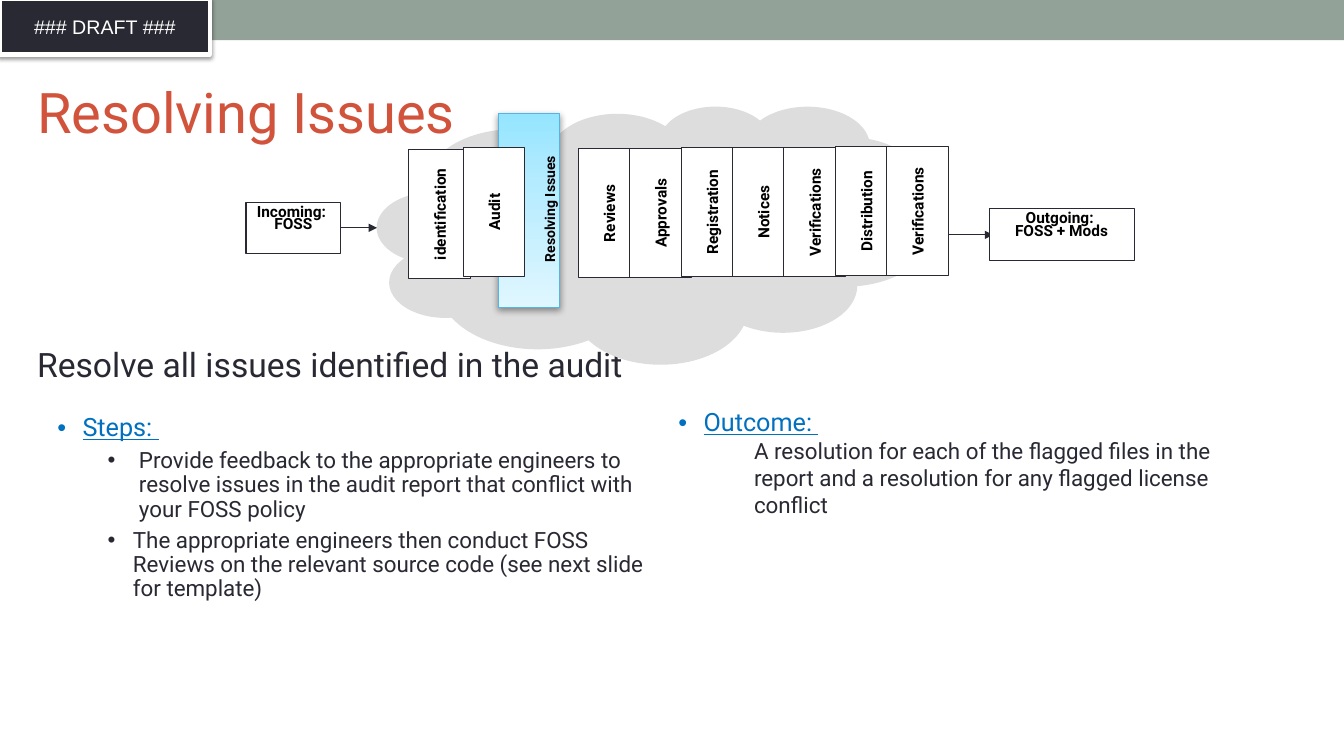
from lxml import etree
from pptx import Presentation, util as u
from pptx.dml import color
from pptx.enum import shapes, text
from pptx.oxml import ns

HUE = {
    "sage": "93A299", "ink": "292934", "white": "FFFFFF", "black": "000000",
    "blue": "0070C0", "rust": "D2533C", "cloud": "DDDDDD", "edge": "55B4E5",
    "sky": "95E5FF", "pale": "B4EBFF", "mist": "E0F7FF",
}
STEPS = [
    "Provide feedback to the appropriate engineers to resolve issues in the audit "
    "report that conflict with your FOSS policy",
    "The appropriate engineers then conduct FOSS Reviews on the relevant source "
    "code (see next slide for template)",
]
RESULT = ("A resolution for each of the flagged files in the report and a "
          "resolution for any flagged license conflict")
BARS = [("Reviews", 0.76), ("Approvals", 0.76), ("Registration", 0.75),
        ("Notices", 0.75), ("Verifications", 0.75), ("Distribution", 0.74),
        ("Verifications", 0.74)]
SHAPE = shapes.MSO_SHAPE


def rgb(name):
    return color.RGBColor.from_string(HUE[name])


def node(parent, tag, **attrs):
    return etree.SubElement(parent, ns.qn("a:" + tag), attrs)


def tint(parent, name):
    return node(parent, "srgbClr", val=HUE[name])


def place(box):
    return [u.Inches(n) for n in box]


def write(frame, words, size=16, hue="ink", font="Roboto", bold=False, line=False,
          align=None, space=None, before=None, level=0, left=0, hang=0, dot=None):
    para = frame.paragraphs[0]
    if para.runs:
        para = frame.add_paragraph()
    para.level = level
    para.alignment = align
    para.line_spacing = space
    if before:
        para.space_before = u.Pt(before)
    run = para.add_run()
    run.text = words
    run.font.size = u.Pt(size)
    run.font.name = font
    run.font.bold = bold
    run.font.underline = line
    run.font.color.rgb = rgb(hue)
    props = para._p.get_or_add_pPr()
    props.set("marL", str(u.Inches(left)))
    props.set("indent", str(u.Inches(-hang)))
    if dot:
        tint(node(props, "buClr"), dot)
        node(props, "buFont", typeface="Arial")
        node(props, "buChar", char="•")


def label(slide, box, anchor=text.MSO_ANCHOR.TOP):
    item = slide.shapes.add_textbox(*place(box))
    item.text_frame.word_wrap = True
    item.text_frame.vertical_anchor = anchor
    return item


def block(slide, box, fill="white", edge=None, width=0.75, kind=SHAPE.RECTANGLE,
          anchor=text.MSO_ANCHOR.MIDDLE):
    item = slide.shapes.add_shape(kind, *place(box))
    item.shadow.inherit = False
    item.fill.solid()
    item.fill.fore_color.rgb = rgb(fill)
    if edge:
        item.line.color.rgb = rgb(edge)
        item.line.width = u.Pt(width)
    else:
        item.line.fill.background()
    item.text_frame.word_wrap = True
    item.text_frame.vertical_anchor = anchor
    return item


def shade(item, blur):
    glow = item.element.spPr.find(ns.qn("a:effectLst"))
    cast = node(glow, "outerShdw", blurRad=str(u.Pt(blur)), dist=str(u.Pt(1.6)),
                dir="5400000", rotWithShape="0")
    node(tint(cast, "black"), "alpha", val="38000")


def arrow(slide, x, y, length):
    item = slide.shapes.add_connector(
        shapes.MSO_CONNECTOR.STRAIGHT, *place((x, y, x + length, y)))
    item.line.color.rgb = rgb("ink")
    item.line.width = u.Pt(0.75)
    node(item.line._get_or_add_ln(), "tailEnd", type="triangle")
    node(item.element.spPr, "effectLst")


def banner(slide, box):
    x, y, w, h = box
    block(slide, box, "sage")
    tag = block(slide, (x, y - 0.01, 2.08, 0.55), "ink", "white", 3)
    shade(tag, 3.1)
    write(tag.text_frame, "### DRAFT ###", size=14, font="Arial", hue="white",
          align=text.PP_ALIGN.CENTER)


def heading(slide, box):
    x, y, w, h = box
    title = label(slide, (x, y, w, 1.08), text.MSO_ANCHOR.MIDDLE)
    write(title.text_frame, "Resolving Issues", size=40, hue="rust")
    lead = label(slide, (x, y + 2.8, 7.92, 0.5))
    write(lead.text_frame, "Resolve all issues identified in the audit", size=24)


def focus(slide, box):
    x, y, w, h = box
    item = block(slide, box, "sky", "edge")
    item.rotation = 180
    item.fill.gradient()
    item.fill.gradient_angle = 90
    stops = item.element.spPr.find(".//" + ns.qn("a:gsLst"))
    for stop in list(stops):
        stops.remove(stop)
    for spot, name in ((0, "sky"), (35, "pale"), (100, "mist")):
        tint(node(stops, "gs", pos=str(spot * 1000)), name)
    shade(item, 5)
    name = label(slide, (x - 0.45, y + 0.64, 1.92, 0.61), text.MSO_ANCHOR.MIDDLE)
    name.rotation = 270
    write(name.text_frame, "Resolving Issues", size=10, hue="black", bold=True,
          align=text.PP_ALIGN.CENTER)


def ends(slide, box, lines, space):
    item = block(slide, box, edge="ink", anchor=text.MSO_ANCHOR.TOP)
    for words in lines:
        write(item.text_frame, words, size=11, hue="black", bold=True,
              align=text.PP_ALIGN.CENTER, space=space)


def flow(slide, box):
    x, y, w, h = box
    cloud = block(slide, (x + 1.3, y, 5.5, h), "cloud", kind=SHAPE.CLOUD_CALLOUT)
    cloud.adjustments[0] = -0.25
    cloud.adjustments[1] = 0.16
    arrow(slide, x + 6.8, y + 1.28, 0.61)
    focus(slide, (x + 2.5, y + 0.08, 0.61, 1.92))
    bars = [("identification", 1.28, 0.77), ("Audit", 1.82, 0.75)]
    bars += [(name, 2.96 + 0.51 * i, top) for i, (name, top) in enumerate(BARS)]
    for name, left, top in bars:
        bar = block(slide, (x + left, y + top, 1.28, 0.61), edge="ink")
        bar.rotation = 270
        write(bar.text_frame, name, size=11, hue="black", bold=True,
              align=text.PP_ALIGN.CENTER)
    ends(slide, (x, y + 0.96, 0.94, 0.51), ("Incoming: ", "FOSS"), 0.65)
    arrow(slide, x + 0.94, y + 1.21, 0.36)
    ends(slide, (x + 7.37, y + 1.02, 1.44, 0.51), ("Outgoing: ", "FOSS + Mods"), 0.7)


def column(slide, box, head):
    frame = label(slide, box).text_frame
    write(frame, head, size=18, hue="blue", line=True, space=0.9,
          left=0.25, hang=0.25, dot="blue")
    return frame


def steps(slide, box):
    frame = column(slide, box, "Steps: ")
    for words, left, hang in zip(STEPS, (0.81, 0.75), (0.31, 0.25)):
        write(frame, words, level=1, space=0.9, before=5,
              left=left, hang=hang, dot="ink")


def outcome(slide, box):
    frame = column(slide, box, "Outcome: ")
    write(frame, RESULT, left=0.75)


def main():
    deck = Presentation()
    deck.slide_width, deck.slide_height = place((13.33, 7.5))
    slide = deck.slides.add_slide(deck.slide_layouts[6])
    banner(slide, (0, 0, 13.33, 0.4))
    outcome(slide, (6.63, 4.02, 6.02, 2.52))
    steps(slide, (0.47, 4.07, 6.05, 2.86))
    heading(slide, (0.27, 0.56, 12, 3.3))
    flow(slide, (2.44, 1.05, 8.81, 2.56))
    deck.save("out.pptx")


if __name__ == "__main__":
    main()
